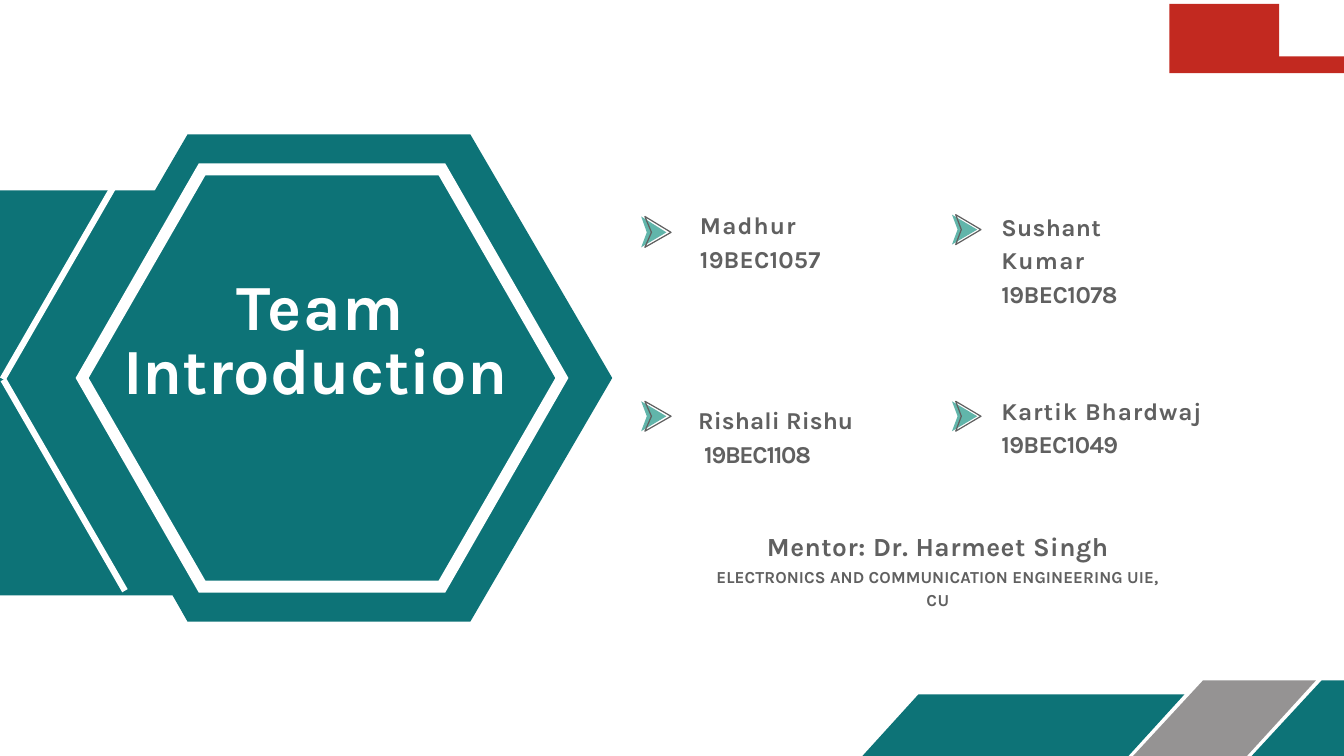
from pptx import Presentation
from pptx.dml.color import RGBColor
from pptx.enum.shapes import MSO_CONNECTOR, MSO_SHAPE
from pptx.enum.text import MSO_ANCHOR, MSO_AUTO_SIZE, PP_ALIGN
from pptx.oxml.ns import qn
from pptx.util import Pt
from lxml import etree

TEAL = RGBColor(0x0D, 0x73, 0x77)
MINT = RGBColor(0x61, 0xB5, 0xAA)
GREY = RGBColor(0x95, 0x93, 0x93)
DARK = RGBColor(0x60, 0x60, 0x60)
RED = RGBColor(0xC2, 0x29, 0x20)
WHITE = RGBColor(0xFF, 0xFF, 0xFF)
LEFT, CENTER = PP_ALIGN.LEFT, PP_ALIGN.CENTER
FONT = "Karla"

# Content: lines are (text, letter spacing)
TITLE = [("Team", 2), ("Introduction", 0.1)]
TEAM = [  # box, hanging indent, lines
    ((750, 220.3, 147, 109), 0, [("Madhur", 1.2), ("19BEC1057", 0.2)]),
    ((748, 429.1, 172, 73), 6.5, [("Rishali Rishu", 0.1), ("19BEC1108", -1.4)]),
    ((1072.8, 221.8, 212, 73), 0,
     [("Sushant", 0.4), ("Kumar", 1.4), ("19BEC1078", -0.6)]),
    ((1072.8, 419, 229, 73), 0, [("Kartik Bhardwaj", 0.95), ("19BEC1049", -0.7)]),
]
MENTOR = [("Mentor: Dr. Harmeet Singh", 0.6)]
DEPT = [("ELECTRONICS AND COMMUNICATION ENGINEERING UIE,", 0.1), ("CU", 0.8)]

# Outlines
PANEL = [(656, 405), (504, 144), (201, 144), (166.3, 204.5), (0, 204.5),
         (0, 638), (185, 638), (201, 666), (504, 666)]
BANDS = [
    (TEAL, [(923.8, 810), (984.2, 743.8), (1269.4, 743.8), (1208.9, 810)]),
    (GREY, [(1213.9, 810), (1288.8, 729.4), (1409.8, 729.4), (1335.6, 810)]),
    (TEAL, [(1340.6, 810), (1415.5, 729.4), (1440, 729.4), (1440, 810)]),
]
DART = [(0, 0.7), (27.5, 17), (0, 33), (6.5, 17)]
EDGE = [(4.3, 0.7), (31.7, 16.9), (4.3, 33.1), (10.8, 16.9)]
MARKS = [(686.9, 231.8), (686.9, 429.1), (1019.5, 228.9), (1019.5, 429.1)]
RULES = [(133.9, 632.9, 3.6, 406.8), (2.9, 406.1, 133.2, 180)]
FLAG = [(1252.8, 4.3, 117.6, 74.2), (1370.4, 60.5, 69.6, 18)]

deck = Presentation()
deck.slide_width, deck.slide_height = Pt(1440), Pt(810)
slide = deck.slides.add_slide(deck.slide_layouts[5])
shapes = slide.shapes


def paint(shape, fill=None, line=None, width=1.3):
    shape.shadow.inherit = False
    if fill is None:
        shape.fill.background()
    else:
        shape.fill.solid()
        shape.fill.fore_color.rgb = fill
    if line is None:
        shape.line.fill.background()
    else:
        shape.line.color.rgb = line
        shape.line.width = Pt(width)


def outline(*rings, dx=0, dy=0, **look):
    """Draw closed rings as one shape; a second ring cuts a hole."""
    pen = None
    for ring in rings:
        (x, y), *rest = [(px + dx, py + dy) for px, py in ring]
        if pen is None:
            pen = shapes.build_freeform(x, y, scale=Pt(1))
        else:
            pen.move_to(x, y)
        pen.add_line_segments(rest, close=True)
    paint(pen.convert_to_shape(), **look)


def hexagon(half, flat, rise, cx=345, cy=405):
    return [(cx + x, cy + y) for x, y in [
        (half, 0), (flat, rise), (-flat, rise),
        (-half, 0), (-flat, -rise), (flat, -rise)]]


def place(shape, box, inset):
    shape.left, shape.top, shape.width, shape.height = map(Pt, box)
    frame = shape.text_frame
    frame.word_wrap = True
    frame.auto_size = MSO_AUTO_SIZE.NONE
    frame.vertical_anchor = MSO_ANCHOR.TOP
    frame.margin_left = frame.margin_right = frame.margin_bottom = 0
    frame.margin_top = Pt(inset)
    return frame


def write(para, lines, size, color, before, pitch, align=LEFT, left=0, first=0):
    para.alignment = align
    para.space_before = Pt(before)
    para.line_spacing = pitch
    font = para.font
    font.name, font.size, font.bold = FONT, Pt(size), True
    font.color.rgb = color
    props = para._p.get_or_add_pPr()
    props.set("marL", str(Pt(left)))
    props.set("indent", str(Pt(first)))
    for i, (text, gap) in enumerate(lines):
        if i:
            para.add_line_break()
        run = para.add_run()
        run.text = text
        run._r.get_or_add_rPr().set("spc", str(round(gap * 100)))


# Teal panel, bottom bands and hexagon frame
outline(PANEL, fill=TEAL)
for color, ring in BANDS:
    outline(ring, fill=color)
outline(hexagon(264, 132, 229.7), hexagon(249.8, 125, 217.4), fill=WHITE)

# White slanted rules
for ends in RULES:
    rule = shapes.add_connector(MSO_CONNECTOR.STRAIGHT, *map(Pt, ends))
    rule.line.color.rgb = WHITE
    rule.line.width = Pt(6.75)
    etree.SubElement(rule._element.spPr, qn("a:effectLst"))

# Arrow marks
for x, y in MARKS:
    outline(DART, dx=x, dy=y, fill=MINT)
    outline(EDGE, dx=x, dy=y, line=DARK)

# Red flag
for box in FLAG:
    paint(shapes.add_shape(MSO_SHAPE.RECTANGLE, *map(Pt, box)), fill=RED)

# Title, brought in front of the panel
title = shapes.title
shapes._spTree.append(title._element)
frame = place(title, (131, 283.7, 443.5, 148.3), 15.1)
write(frame.paragraphs[0], TITLE, 69, WHITE, 15.2, Pt(68.8), left=1, first=121.7)

# Team members
for box, hang, lines in TEAM:
    frame = place(shapes.add_textbox(0, 0, 0, 0), box, 0.7)
    write(frame.paragraphs[0], lines, 26, DARK, 1, 1.15, left=hang, first=-hang)

# Mentor
frame = place(shapes.add_textbox(0, 0, 0, 0), (759.6, 558, 490.3, 95), 10.1)
write(frame.paragraphs[0], MENTOR, 28, DARK, 9.8, 1.0, CENTER)
write(frame.add_paragraph(), DEPT, 18, DARK, 2.5, 1.14, CENTER)

deck.save("out.pptx")
